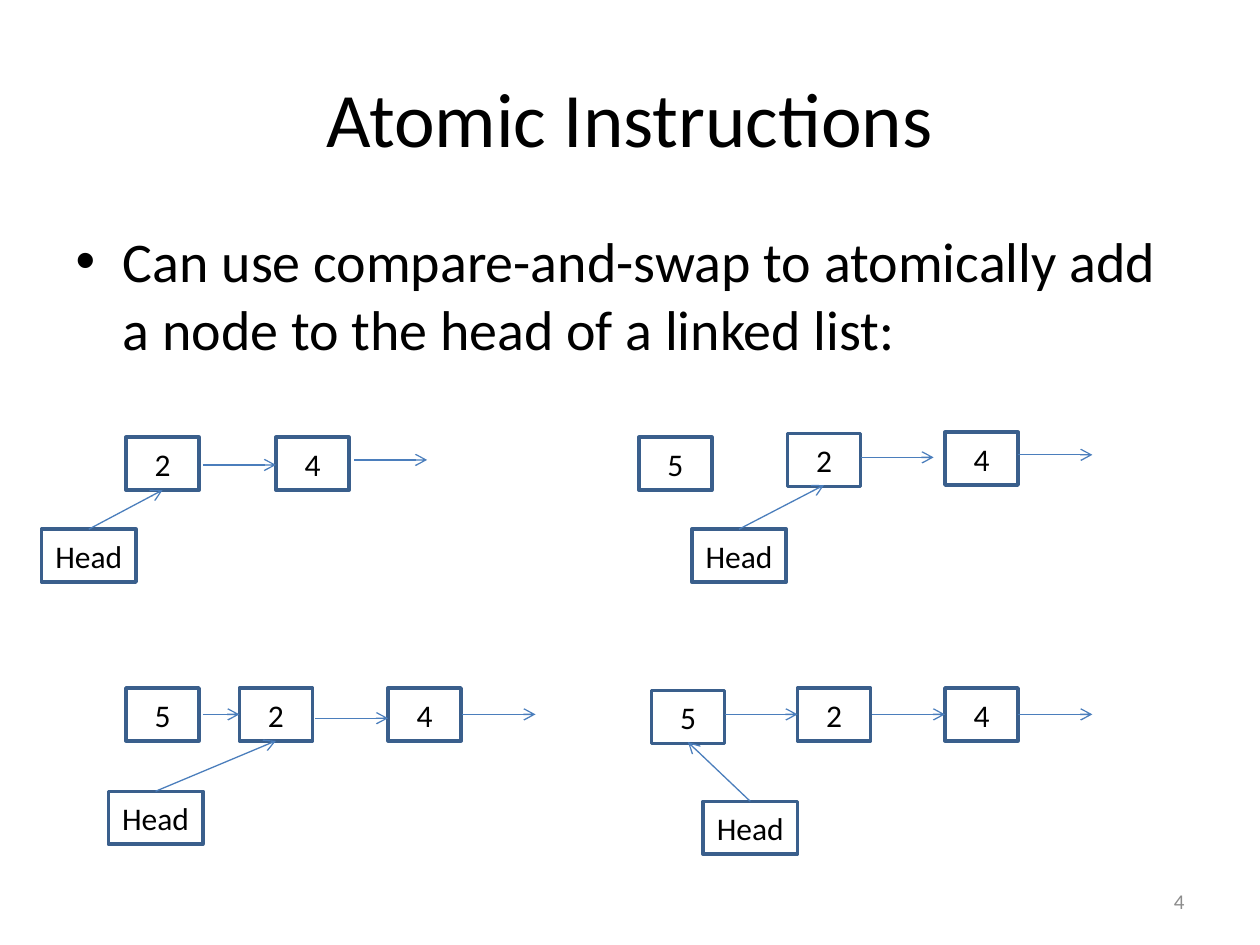
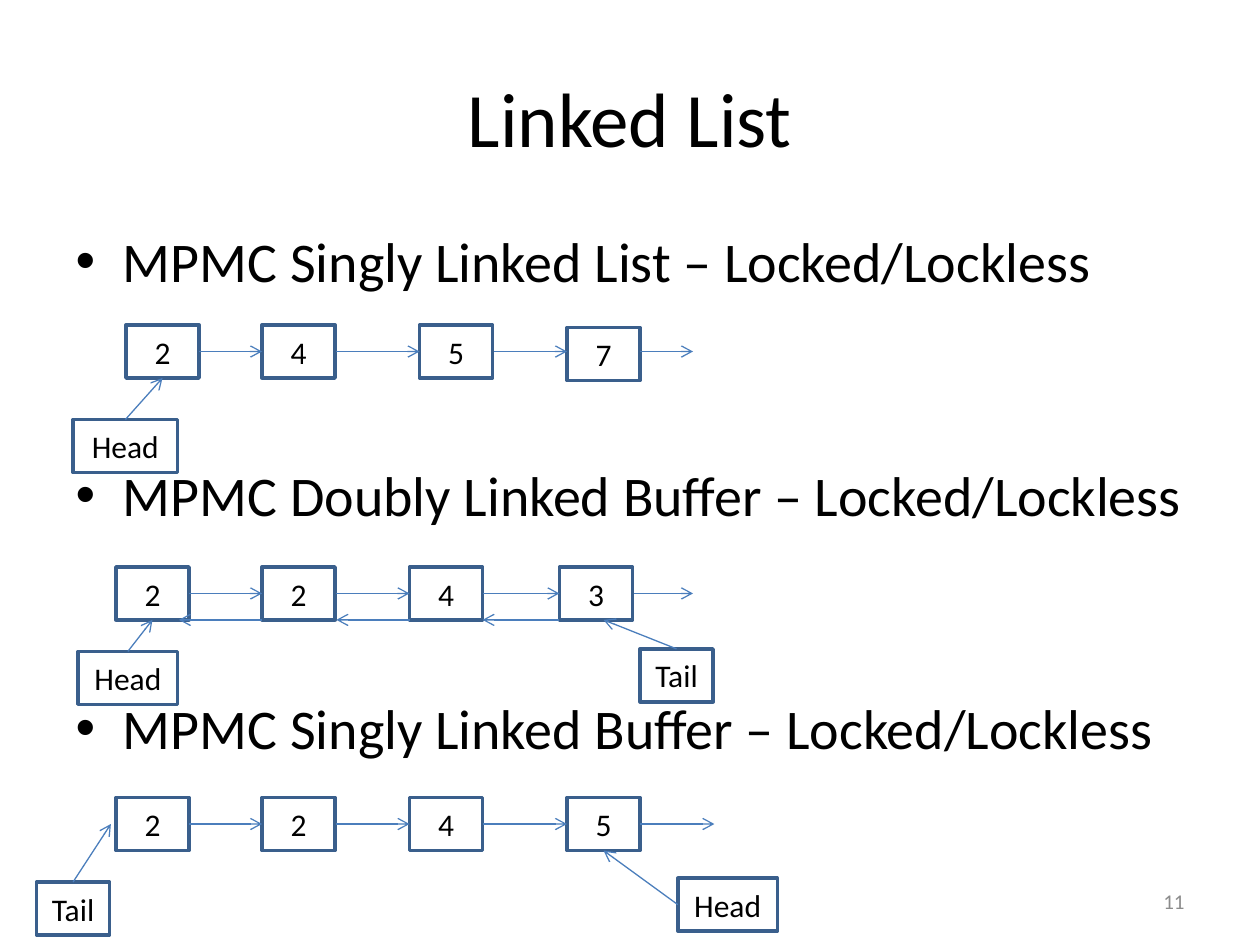
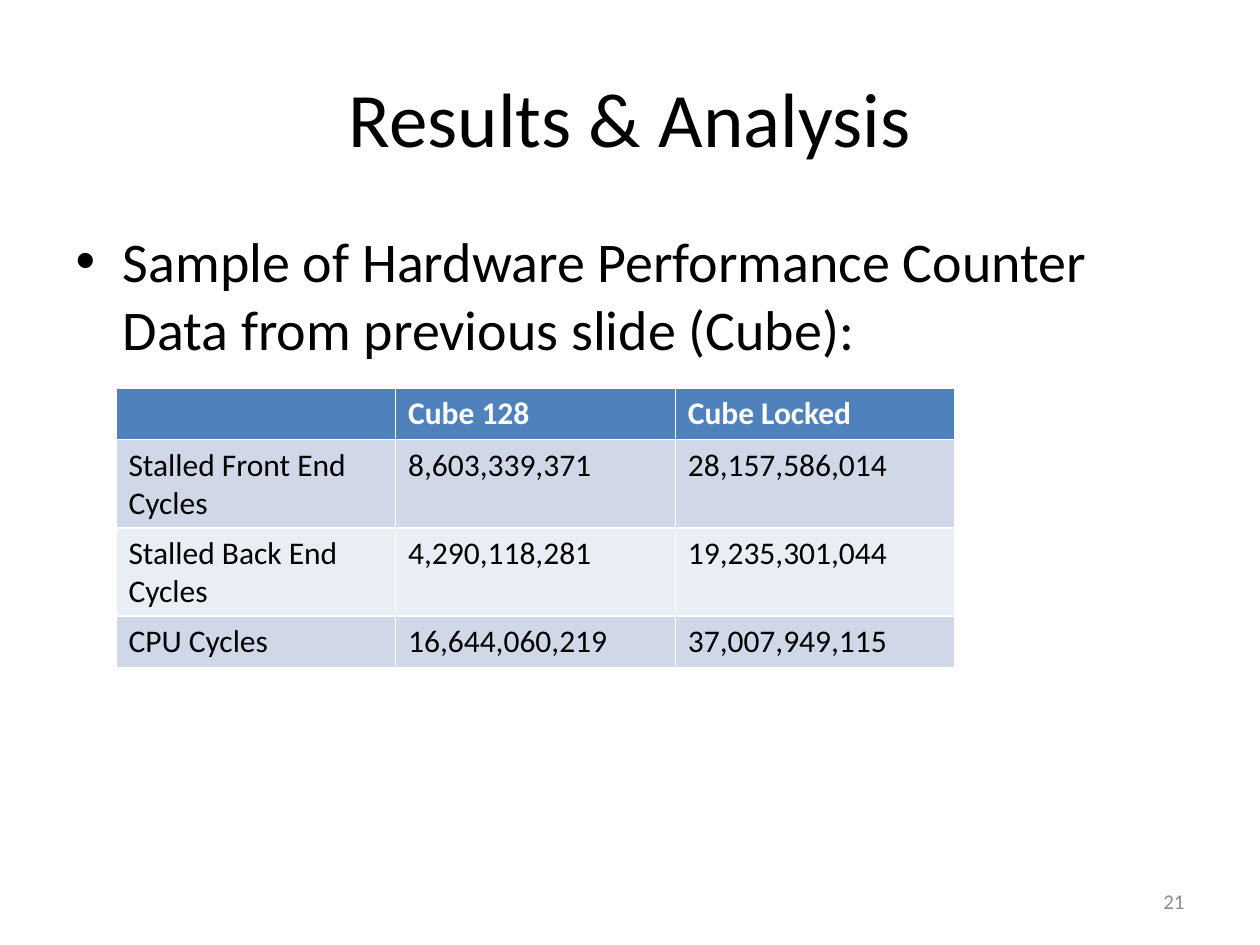
from lxml.etree import SubElement
from pptx import Presentation
from pptx.dml.color import RGBColor
from pptx.enum.shapes import MSO_CONNECTOR, MSO_SHAPE
from pptx.enum.text import MSO_ANCHOR, PP_ALIGN
from pptx.oxml.ns import qn
from pptx.util import Inches, Pt

COLORS = {"text": "000000", "white": "FFFFFF", "number": "8C8C8C",
          "box": "3A5F8C", "arrow": "4B7EBC", "header": "4F81BD",
          "odd": "D0D8E8", "even": "E9EDF4"}
FONT = "Calibri"
BOX_W, BOX_H = 0.58, 0.42

# title, slide number, bullets
SLIDES = [
    ("Atomic Instructions", "4",
     ["Can use compare-and-swap to atomically add a node to the head of a linked list:"]),
    ("Linked List", "11",
     ["MPMC Singly Linked List – Locked/Lockless",
      "MPMC Doubly Linked Buffer – Locked/Lockless",
      "MPMC Singly Linked Buffer – Locked/Lockless"]),
    ("Results & Analysis", "21",
     ["Sample of Hardware Performance Counter Data from previous slide (Cube):"]),
]

# Linked lists by slide number:
#   nodes (label, x, y), links (from x, to x, y),
#   pointers (label, x, y, width, side the arrow leaves, to x, to y)
LISTS = {
    "4": [
        ([("2", 1, 3.47), ("4", 2.19, 3.47)],
         [(1.61, 2.19, 3.69), (2.81, 3.39, 3.65)],
         [("Head", 0.33, 4.2, 0.75, "top", 1.29, 3.89)]),
        ([("5", 5.07, 3.47), ("2", 6.25, 3.44), ("4", 7.5, 3.43)],
         [(6.83, 7.41, 3.63), (8.08, 8.67, 3.61)],
         [("Head", 5.49, 4.2, 0.75, "top", 6.54, 3.85)]),
        ([("5", 1, 5.46), ("2", 1.9, 5.46), ("4", 3.08, 5.46)],
         [(1.61, 1.9, 5.67), (2.5, 3.08, 5.7), (3.67, 4.25, 5.67)],
         [("Head", 0.86, 6.28, 0.75, "top", 2.19, 5.88)]),
        ([("5", 5.17, 5.48), ("2", 6.33, 5.46), ("4", 7.5, 5.46)],
         [(5.75, 6.33, 5.67), (6.92, 7.5, 5.67), (8.08, 8.67, 5.67)],
         [("Head", 5.58, 6.36, 0.75, "top", 5.46, 5.89)]),
    ],
    "11": [
        ([("2", 1, 2.58), ("4", 2.08, 2.58), ("5", 3.33, 2.58), ("7", 4.5, 2.6)],
         [(1.58, 2.08, 2.79), (2.67, 3.33, 2.79), (3.92, 4.5, 2.79), (5.08, 5.5, 2.79)],
         [("Head", 0.58, 3.33, 0.83, "top", 1.29, 3)]),
        ([("2", 0.92, 4.5), ("2", 2.08, 4.5), ("4", 3.25, 4.5), ("3", 4.44, 4.5)],
         [(1.5, 2.08, 4.71), (2.67, 3.25, 4.71), (3.83, 4.44, 4.71), (5.03, 5.5, 4.71),
          (4.44, 3.83, 4.92), (3.25, 2.67, 4.92), (2.08, 1.42, 4.92)],
         [("Head", 0.62, 5.17, 0.79, "top", 1.21, 4.92),
          ("Tail", 5.08, 5.15, BOX_W, "top", 4.79, 4.92)]),
        ([("2", 0.92, 6.33), ("2", 2.08, 6.33), ("4", 3.25, 6.33), ("5", 4.5, 6.33)],
         [(1.5, 2.08, 6.54), (2.67, 3.25, 6.54), (3.83, 4.5, 6.54), (5.08, 5.67, 6.54)],
         [("Tail", 0.29, 7, BOX_W, "top", 0.88, 6.54),
          ("Head", 5.38, 6.97, 0.79, "left", 4.79, 6.75)]),
    ],
}

COUNTERS = [
    ["", "Cube 128", "Cube Locked"],
    ["Stalled Front End Cycles", "8,603,339,371", "28,157,586,014"],
    ["Stalled Back End Cycles", "4,290,118,281", "19,235,301,044"],
    ["CPU Cycles", "16,644,060,219", "37,007,949,115"],
]


def rgb(name):
    return RGBColor.from_string(COLORS[name])


def format_text(tf, size, color="text", align=None, bold=None):
    for p in tf.paragraphs:
        p.alignment = align
        for r in p.runs:
            r.font.name = FONT
            r.font.size = Pt(size)
            r.font.bold = bold
            r.font.color.rgb = rgb(color)


prs = Presentation()
prs.slide_width, prs.slide_height = Inches(10), Inches(7.5)

for title, number, bullets in SLIDES:
    s = prs.slides.add_slide(prs.slide_layouts[1])

    # Title and bullets
    sp, body = s.placeholders
    sp.left, sp.top, sp.width, sp.height = map(Inches, (0.5, 0.3, 9, 1.25))
    sp.text_frame.text = title
    format_text(sp.text_frame, 44, align=PP_ALIGN.CENTER)
    body.left, body.top, body.width, body.height = map(Inches, (0.5, 1.75, 9, 4.95))
    tf = body.text_frame
    tf.text = "\n".join(bullets)
    format_text(tf, 32)
    for p in tf.paragraphs[1:]:
        p.space_before = Pt(95)

    # Slide number
    sp = s.shapes.add_textbox(*map(Inches, (7.17, 6.95, 2.33, 0.4)))
    tf = sp.text_frame
    tf.word_wrap = True
    tf.vertical_anchor = MSO_ANCHOR.MIDDLE
    tf.text = number
    format_text(tf, 12, "number", PP_ALIGN.RIGHT)

    for nodes, links, pointers in LISTS.get(number, []):
        # Nodes and pointer boxes
        boxes = [(label, x, y, BOX_W) for label, x, y in nodes]
        boxes += [pointer[:4] for pointer in pointers]
        for label, x, y, w in boxes:
            sp = s.shapes.add_shape(MSO_SHAPE.RECTANGLE, *map(Inches, (x, y, w, BOX_H)))
            sp.shadow.inherit = False
            sp.fill.solid()
            sp.fill.fore_color.rgb = rgb("white")
            sp.line.color.rgb = rgb("box")
            sp.line.width = Pt(2)
            tf = sp.text_frame
            tf.vertical_anchor = MSO_ANCHOR.MIDDLE
            tf.text = label
            format_text(tf, 18, align=PP_ALIGN.CENTER)

        # Arrows
        arrows = [(x1, y, x2, y) for x1, x2, y in links]
        for label, x, y, w, side, to_x, to_y in pointers:
            start = (x + w / 2, y) if side == "top" else (x, y + BOX_H / 2)
            arrows.append((*start, to_x, to_y))
        for arrow in arrows:
            line = s.shapes.add_connector(MSO_CONNECTOR.STRAIGHT, *map(Inches, arrow))
            line.line.color.rgb = rgb("arrow")
            line.line.width = Pt(0.75)
            SubElement(line.line._get_or_add_ln(), qn("a:tailEnd"), type="arrow")
            SubElement(line._element.spPr, qn("a:effectLst"))

# Counter table on the last slide
table = s.shapes.add_table(len(COUNTERS), 3, *map(Inches, (0.92, 3.08, 6.66, 1.64))).table
for i, row in enumerate(COUNTERS):
    table.rows[i].height = Inches(0.41)
    fill = "header" if i == 0 else "odd" if i % 2 else "even"
    for j, value in enumerate(row):
        cell = table.cell(i, j)
        cell.fill.solid()
        cell.fill.fore_color.rgb = rgb(fill)
        cell.text_frame.text = value
        format_text(cell.text_frame, 18, "text" if i else "white", bold=i == 0)

prs.save("out.pptx")
